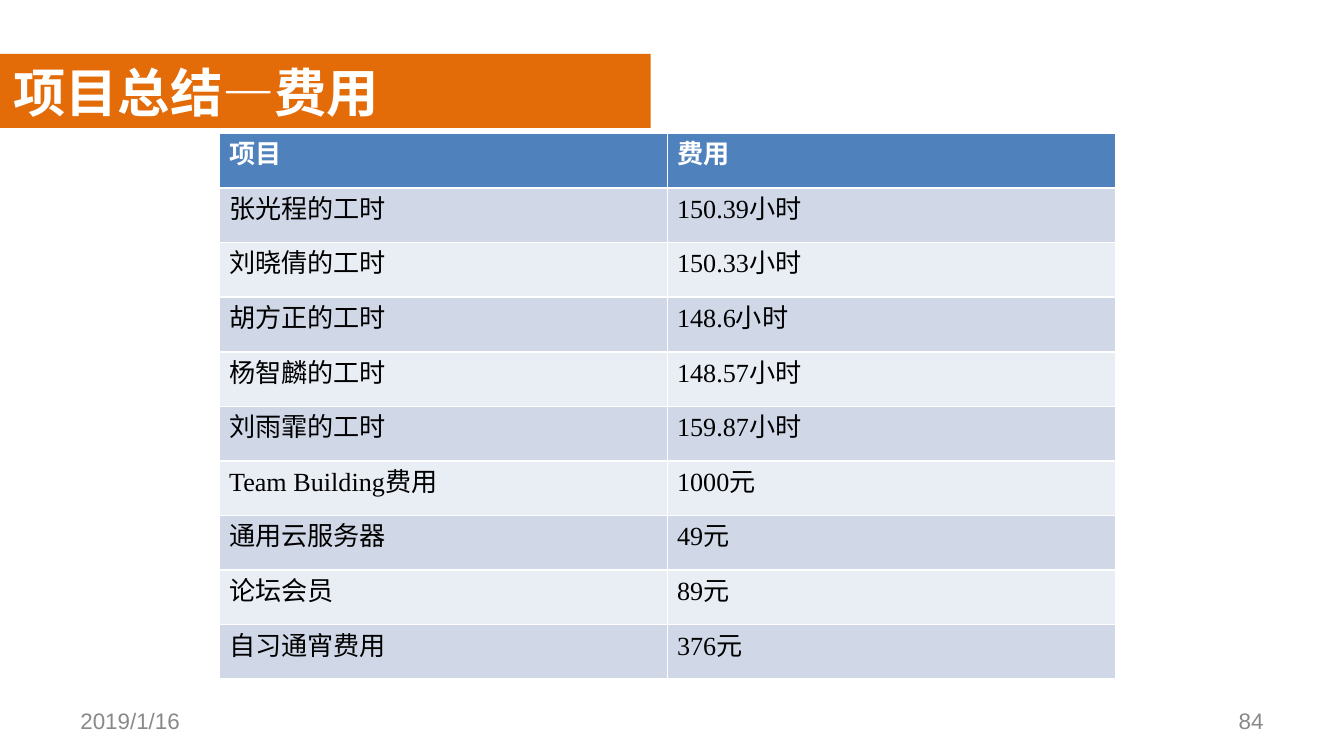
from lxml import etree
from pptx import Presentation
from pptx.dml.color import RGBColor
from pptx.enum.shapes import MSO_SHAPE as Preset
from pptx.enum.text import MSO_ANCHOR as Anchor, MSO_AUTO_SIZE as AutoSize, PP_ALIGN as Align
from pptx.oxml.ns import qn
from pptx.util import Cm, Pt

COSTS = [
    ("项目", "费用"),
    ("张光程的工时", "150.39小时"),
    ("刘晓倩的工时", "150.33小时"),
    ("胡方正的工时", "148.6小时"),
    ("杨智麟的工时", "148.57小时"),
    ("刘雨霏的工时", "159.87小时"),
    ("Team Building费用", "1000元"),
    ("通用云服务器", "49元"),
    ("论坛会员", "89元"),
    ("自习通宵费用", "376元"),
]
HEADER_FILL = "4F81BD"
BAND_FILLS = ("E9EDF4", "D0D8E8")


def color(hex_value):
    return RGBColor.from_string(hex_value)


def format_paragraph(paragraph, font_name, size, hex_value, bold=False, align=Align.LEFT):
    paragraph.alignment = align
    for run in paragraph.runs:
        run.font.name = font_name
        run.font.size = Pt(size)
        run.font.bold = bold
        run.font.color.rgb = color(hex_value)


def add_panel(slide, box, hex_value, opacity=100):
    panel = slide.shapes.add_shape(Preset.RECTANGLE, *box)
    panel.shadow.inherit = False
    panel.fill.solid()
    panel.fill.fore_color.rgb = color(hex_value)
    panel.line.fill.background()
    if opacity < 100:
        fill_color = panel.element.spPr.find(qn("a:solidFill"))[0]
        etree.SubElement(fill_color, qn("a:alpha"), val=str(opacity * 1000))
    return panel


def add_title_banner(slide, box, text):
    left, top, width, height = box
    banner = add_panel(slide, box, "E36C09")
    title = slide.shapes.title
    title.left, title.top, title.width, title.height = left, top, width, height + Cm(0.05)
    banner.element.addnext(title.element)
    frame = title.text_frame
    frame.text = text
    frame.word_wrap = True
    frame.auto_size = AutoSize.NONE
    frame.vertical_anchor = Anchor.TOP
    format_paragraph(frame.paragraphs[0], "Calibri", 28, "FFFFFF", bold=True)


def add_footer_text(slide, box, text, align):
    frame = slide.shapes.add_textbox(*box).text_frame
    frame.word_wrap = True
    frame.vertical_anchor = Anchor.MIDDLE
    frame.text = text
    format_paragraph(frame.paragraphs[0], "Arial", 12, "898989", align=align)


def add_footer(slide, box, date, number):
    left, top, width, height = box
    part_width = Cm(5.93)
    add_footer_text(slide, (left, top, part_width, height), date, Align.LEFT)
    number_left = left + width - part_width
    add_footer_text(slide, (number_left, top, part_width, height), number, Align.RIGHT)


def add_cost_table(slide, box, rows):
    table = slide.shapes.add_table(len(rows), len(rows[0]), *box).table
    for row_index, row in enumerate(rows):
        is_header = row_index == 0
        fill = HEADER_FILL if is_header else BAND_FILLS[row_index % 2]
        text_color = "FFFFFF" if is_header else "000000"
        for column_index, text in enumerate(row):
            cell = table.cell(row_index, column_index)
            cell.margin_left = cell.margin_right = Cm(0.18)
            cell.margin_top = cell.margin_bottom = 0
            cell.fill.solid()
            cell.fill.fore_color.rgb = color(fill)
            cell.text_frame.text = text
            format_paragraph(cell.text_frame.paragraphs[0], "Times New Roman", 14,
                             text_color, bold=is_header, align=Align.JUSTIFY)


def main():
    presentation = Presentation()
    presentation.slide_width, presentation.slide_height = Cm(25.4), Cm(14.29)
    slide = presentation.slides.add_slide(presentation.slide_layouts[5])
    add_panel(slide, (0, Cm(1.75), Cm(25.4), Cm(11.4)), "FFFFFF", opacity=50)
    add_title_banner(slide, (0, Cm(1.02), Cm(12.3), Cm(1.4)), "项目总结—费用")
    add_footer(slide, (Cm(1.27), Cm(13.24), Cm(22.86), Cm(0.76)), "2019/1/16", "84")
    add_cost_table(slide, (Cm(4.15), Cm(2.52), Cm(16.93), Cm(10.32)), COSTS)
    presentation.save("out.pptx")


if __name__ == "__main__":
    main()
